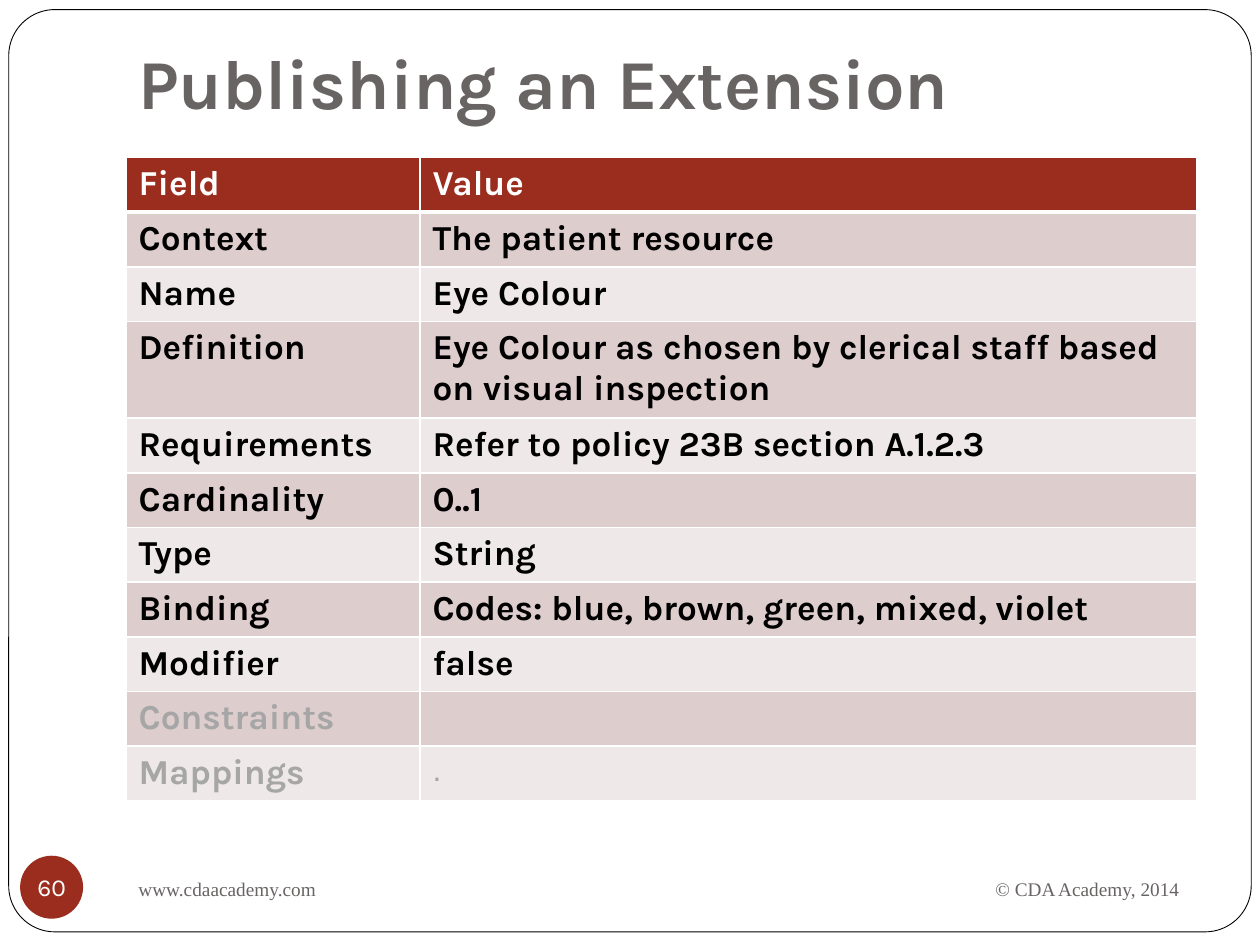
from dataclasses import dataclass

from lxml.etree import SubElement as Sub
from pptx import Presentation
from pptx.dml.color import RGBColor as RGB
from pptx.enum.shapes import MSO_SHAPE as Shape
from pptx.enum.text import MSO_ANCHOR as Anchor, PP_ALIGN as Align
from pptx.oxml.ns import qn
from pptx.util import Pt


@dataclass(frozen=True)
class Theme:
    red: str = "9B2D1F"
    grey: str = "696464"
    faint: str = "A6A6A6"
    dark: str = "DECDCD"
    light: str = "EFE8E8"
    white: str = "FFFFFF"
    black: str = "000000"
    face: str = "Karla"
    serif: str = "Times New Roman"
    title: int = 40
    body: int = 20
    dot: int = 18
    page: int = 14
    foot: int = 11


THEME = Theme()
ROWS = [
    ("Field", "Value"),
    ("Context", "The patient resource"),
    ("Name", "Eye Colour"),
    ("Definition",
     "Eye Colour as chosen by clerical staff based on visual inspection"),
    ("Requirements", "Refer to policy 23B section A.1.2.3"),
    ("Cardinality", "0..1"),
    ("Type", "String"),
    ("Binding", "Codes: blue, brown, green, mixed, violet"),
    ("Modifier", "false"),
    ("Constraints", ""),
    ("Mappings", "."),
]
UNUSED = ("Constraints", "Mappings")


def write(frame, text, size=THEME.body, face=THEME.face, color=THEME.black,
          bold=False, align=Align.LEFT):
    para = frame.paragraphs[0]
    para.alignment = align
    if not text:
        return
    run = para.add_run()
    run.text = text
    font = run.font
    font.size, font.name, font.bold = Pt(size), face, bold
    font.color.rgb = RGB.from_string(color)


def add_text(slide, box, text, anchor=Anchor.TOP, foot=3.6, **style):
    frame = slide.shapes.add_textbox(*map(Pt, box)).text_frame
    frame.word_wrap = True
    frame.vertical_anchor = anchor
    frame.margin_bottom = Pt(foot)
    write(frame, text, **style)


def add_shape(slide, kind, box, fill, line=None):
    shape = slide.shapes.add_shape(kind, *map(Pt, box))
    shape.shadow.inherit = False
    shape.fill.solid()
    shape.fill.fore_color.rgb = RGB.from_string(fill)
    if line:
        shape.line.color.rgb = RGB.from_string(line)
        shape.line.width = Pt(0.5)
    else:
        shape.line.fill.background()
    return shape


def edge(cell, **widths):
    """Draw white cell borders; call before the fill is set."""
    props = cell._tc.get_or_add_tcPr()
    for side, width in widths.items():
        line = Sub(props, qn(f"a:ln{side}"), w=str(Pt(width)))
        fill = Sub(line, qn("a:solidFill"))
        Sub(fill, qn("a:srgbClr"), val=THEME.white)


def add_table(slide, box, cols, rows):
    table = slide.shapes.add_table(len(rows), len(cols),
                                   *map(Pt, box)).table
    for col, width in zip(table.columns, cols):
        col.width = Pt(width)
    for i, row in enumerate(rows):
        table.rows[i].height = Pt(box[3] / len(rows))
        head = i == 0
        fill = THEME.red if head else THEME.dark if i % 2 else THEME.light
        color = (THEME.white if head
                 else THEME.faint if row[0] in UNUSED else THEME.black)
        for j, text in enumerate(row):
            cell = table.cell(i, j)
            edge(cell, L=1, R=1, T=3 if i == 1 else 1, B=3 if head else 1)
            cell.fill.solid()
            cell.fill.fore_color.rgb = RGB.from_string(fill)
            style = (dict(size=THEME.dot, face="Arial") if text == "."
                     else dict(bold=True))
            write(cell.text_frame, text, color=color, **style)


def add_badge(slide, box, text):
    frame = add_shape(slide, Shape.OVAL, box, THEME.red).text_frame
    frame.margin_left = frame.margin_right = 0
    frame.margin_top = frame.margin_bottom = 0
    frame.word_wrap = False
    frame.vertical_anchor = Anchor.MIDDLE
    write(frame, text, size=THEME.page, color=THEME.white,
          align=Align.CENTER)


def main():
    deck = Presentation()
    deck.slide_width, deck.slide_height = Pt(720), Pt(540)
    slide = deck.slides.add_slide(deck.slide_layouts[6])
    border = add_shape(slide, Shape.ROUNDED_RECTANGLE, (5, 5.5, 710, 527),
                       THEME.white, THEME.black)
    border.adjustments[0] = 0.05
    add_text(slide, (72, 21.6, 612, 56), "Publishing an Extension",
             anchor=Anchor.BOTTOM, foot=7.2, size=THEME.title,
             color=THEME.grey, bold=True)
    add_table(slide, (72, 90, 612, 324.5), (168, 444), ROWS)
    add_badge(slide, (11.5, 489, 36, 36), "60")
    small = dict(size=THEME.foot, face=THEME.serif, color=THEME.grey)
    add_text(slide, (72, 498, 312, 24), "www.cdaacademy.com", **small)
    add_text(slide, (486, 498, 195, 27), "© CDA Academy, 2014",
             align=Align.RIGHT, **small)
    deck.save("out.pptx")


if __name__ == "__main__":
    main()
